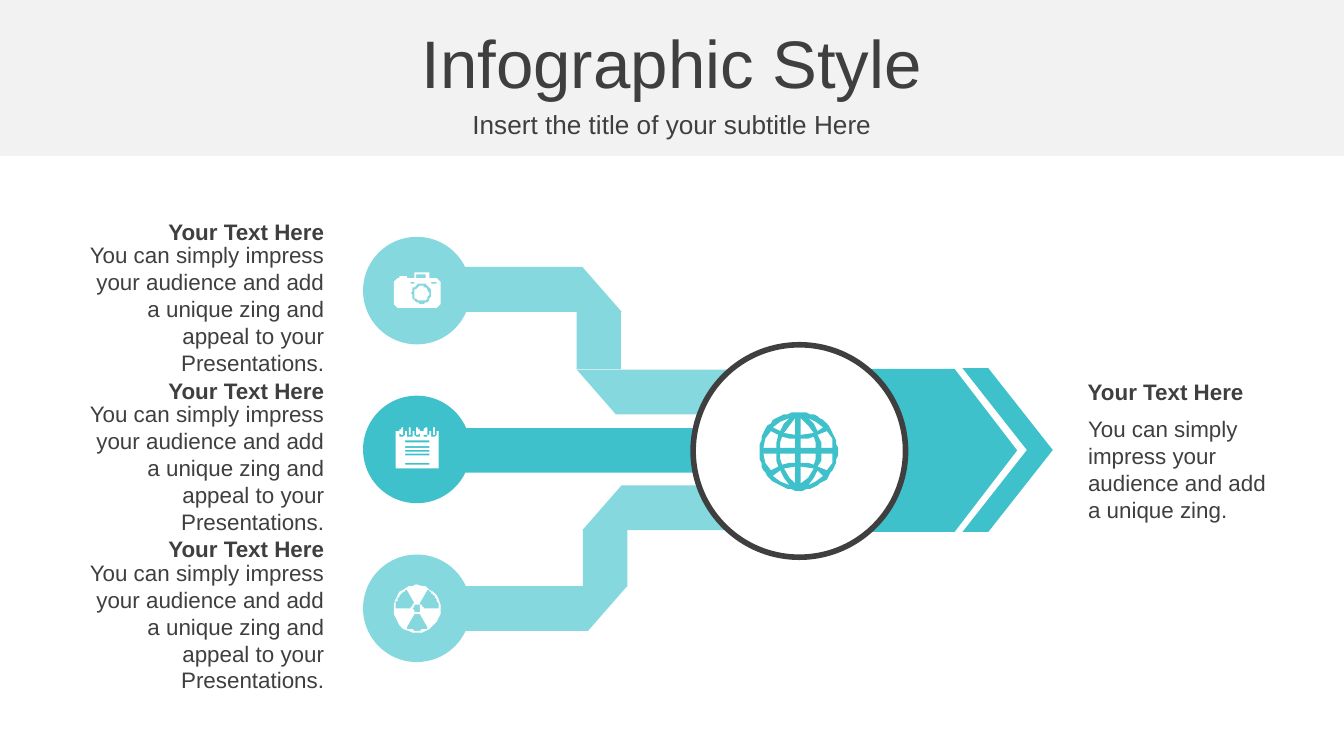
from math import cos, radians, sin

from lxml import etree
from pptx import Presentation
from pptx.dml.color import RGBColor
from pptx.enum import shapes, text
from pptx.util import Pt

DARK, TEAL, PALE, WHITE, GREY = "3F3F3F", "3FC1CB", "85D8DE", "FFFFFF", "F2F2F2"
SHAPE = shapes.MSO_SHAPE
ALIGN = text.PP_ALIGN
HEADING = "Your Text Here"
DETAIL = ("You can simply impress your audience and add a unique zing and "
          "appeal to your Presentations.")
SUMMARY = "You can simply impress your audience and add a unique zing."


def colour(value):
    return RGBColor.from_string(value)


def paint(shape, fill):
    shape.shadow.inherit = False
    shape.fill.solid()
    shape.fill.fore_color.rgb = colour(fill)
    shape.line.fill.background()


def add_shape(page, kind, left, top, width, height, fill, adjustment=None):
    shape = page.shapes.add_shape(kind, Pt(left), Pt(top), Pt(width), Pt(height))
    paint(shape, fill)
    if adjustment is not None:
        shape.adjustments[0] = adjustment
    return shape


def add_text(page, words, left, top, width, height, align, size=12, bold=False):
    box = page.shapes.add_textbox(Pt(left), Pt(top), Pt(width), Pt(height))
    frame = box.text_frame
    frame.word_wrap = True
    frame.vertical_anchor = text.MSO_ANCHOR.MIDDLE
    para = frame.paragraphs[0]
    para.text = words
    para.alignment = align
    font = para.font
    font.name, font.size, font.bold = "Arial", Pt(size), bold
    font.color.rgb = colour(DARK)


def add_outline(page, contours, fill):
    """Draw closed contours as one shape; inner contours become holes."""
    first, *others = contours
    builder = page.shapes.build_freeform(*first[0], scale=float(Pt(1)))
    builder.add_line_segments(first[1:])
    for contour in others:
        builder.move_to(*contour[0])
        builder.add_line_segments(contour[1:])
    paint(builder.convert_to_shape(), fill)


def arc(x, y, rx, ry, start=0, end=360, steps=32):
    angles = [radians(start + (end - start) * i / steps) for i in range(steps + 1)]
    return [(x + rx * cos(a), y + ry * sin(a)) for a in angles]


def rectangle(left, top, width, height):
    right, bottom = left + width, top + height
    return [(left, top), (right, top), (right, bottom), (left, bottom)]


def camera():
    body = [(211.2, 151), (213, 149.2), (213.9, 149.2), (213.9, 147.8),
            (218.2, 147.8), (218.2, 149.2), (221.8, 149.2), (221.8, 146.2),
            (222.4, 145.8), (229.6, 145.8), (230.2, 146.2), (230.2, 149.2),
            (234, 149.2), (235.6, 151), (235.6, 163), (234, 164.7),
            (213, 164.7), (211.2, 163)]
    return [body, arc(225.8, 157.4, 5.4, 5.4), arc(225.8, 157.4, 4, 4),
            rectangle(219.6, 151, 2, 0.9), rectangle(231.3, 150.7, 2.8, 1.3),
            rectangle(223.4, 146.9, 5, 2.2)]


def notepad():
    centres = [215.2 + 4.3 * i for i in range(5)]
    body = [(212.4, 231)]
    for x in centres:
        body += [(x - 1.5, 231), *arc(x, 232.6, 1.5, 1.5, 180, 0, 8), (x + 1.5, 231)]
    body += [(235, 231), (235, 251.4), (212.4, 251.4)]
    rings = [arc(x, 231.2, 0.85, 2.2) for x in centres]
    rules = [rectangle(216.8, 236.3 + 2.3 * i, 13.2, 1) for i in range(6)]
    return [body, *rings, *rules]


def trefoil():
    x, y = 223.4, 326.1
    gaps = [arc(x, y, 11.6, 11.6, a, a + 60) + arc(x, y, 3.2, 3.2, a + 60, a)
            for a in (60, 180, 300)]
    return [arc(x, y, 12.7, 12.7), arc(x, y, 2, 2), *gaps]


def globe():
    x, y = 427.7, 241.7
    quarter = [
        [(10, 10.8), (8, 14.8), (5, 18), (9.7, 16), (13.7, 13)],
        [(1.3, 8.6), (1.3, 17.5), (5, 13.8), (7.9, 9.4)],
        [(12.2, 1.3), (11.8, 5), (10.8, 8.6), (15.1, 10.8), (17.8, 6.5), (18.7, 1.3)],
        [(1.3, 1.3), (1.3, 6.5), (5, 6.7), (8.6, 7.4), (9.3, 4.5), (9.4, 1.3)],
    ]
    cells = [[(x + across * dx, y + down * dy) for dx, dy in cell]
             for across in (-1, 1) for down in (-1, 1) for cell in quarter]
    return [arc(x, y, 21, 21, steps=64), *cells]


def add_header(page):
    add_shape(page, SHAPE.RECTANGLE, 0, 0, 720, 83.5, GREY)
    add_text(page, "Infographic Style", 0, 10.1, 720, 45.4, ALIGN.CENTER, 36)
    add_text(page, "Insert the title of your subtitle Here", 0, 55.5, 720, 22.3,
             ALIGN.CENTER, 14)


def add_pipes(page):
    pipes = [
        [(308.9, 197.6), (399.6, 197.6), (399.6, 221.8), (330.2, 221.8)],
        [(249, 143.4), (311.7, 143.4), (332.7, 167.1), (249, 167.1)],
        [(336.2, 314.1), (245.5, 314.1), (245.5, 338), (314.9, 338.4)],
        [(396, 259.9), (333.4, 259.9), (312.3, 283.6), (396, 283.6)],
    ]
    for pipe in pipes:
        add_outline(page, [pipe], PALE)
    add_shape(page, SHAPE.RECTANGLE, 308.9, 167.1, 23.8, 30.7, PALE)
    add_shape(page, SHAPE.RECTANGLE, 312.3, 283.6, 23.8, 30.7, PALE)


def add_inputs(page):
    rows = [(PALE, camera), (TEAL, notepad), (PALE, trefoil)]
    for i, (fill, icon) in enumerate(rows):
        top = 126.9 + 85.1 * i
        add_shape(page, SHAPE.OVAL, 194.5, top, 57.6, 57.6, fill)
        add_outline(page, icon(), WHITE)
        add_text(page, DETAIL, 34.6, top + 5.6, 146.2, 65.5, ALIGN.RIGHT)
        add_text(page, HEADING, 34.6, top - 13.8, 146.2, 21.6, ALIGN.RIGHT, bold=True)


def add_result(page):
    add_shape(page, SHAPE.PENTAGON, 456.5, 197.6, 88.4, 87.4, TEAL, 0.384)
    add_shape(page, SHAPE.RECTANGLE, 247, 229.4, 152, 23.8, TEAL)
    hub = add_shape(page, SHAPE.OVAL, 371.3, 184.7, 113.8, 113.8, WHITE)
    hub.line.color.rgb = colour(DARK)
    hub.line.width = Pt(3)
    add_shape(page, SHAPE.CHEVRON, 515.6, 197.2, 48.4, 87.8, TEAL, 0.714)
    add_text(page, SUMMARY, 575.8, 218.5, 118.8, 65.5, ALIGN.LEFT)
    add_text(page, HEADING, 575.6, 199, 118.8, 21.6, ALIGN.LEFT, bold=True)
    add_outline(page, globe(), TEAL)


def main():
    deck = Presentation()
    deck.slide_width, deck.slide_height = Pt(720), Pt(405)
    page = deck.slides.add_slide(deck.slide_layouts[6])
    add_header(page)
    add_pipes(page)
    add_inputs(page)
    add_result(page)
    deck.save("out.pptx")


if __name__ == "__main__":
    main()
